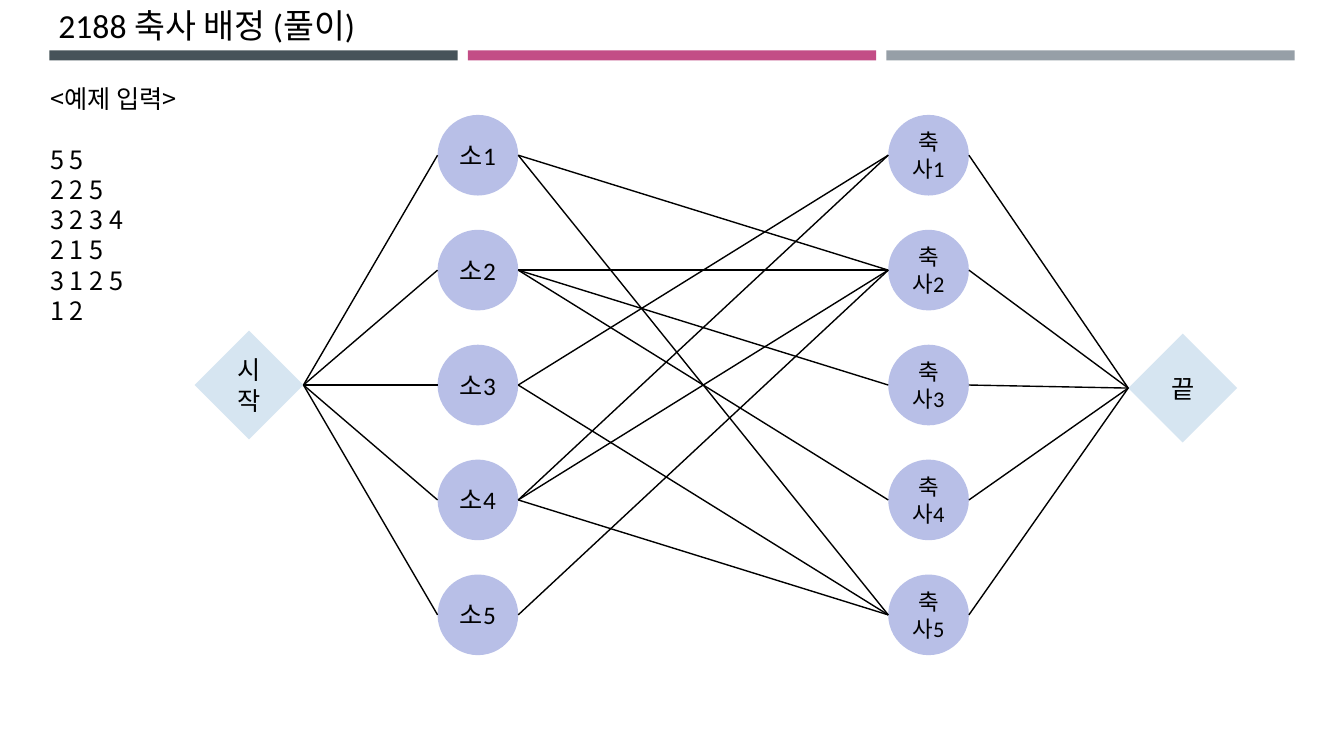
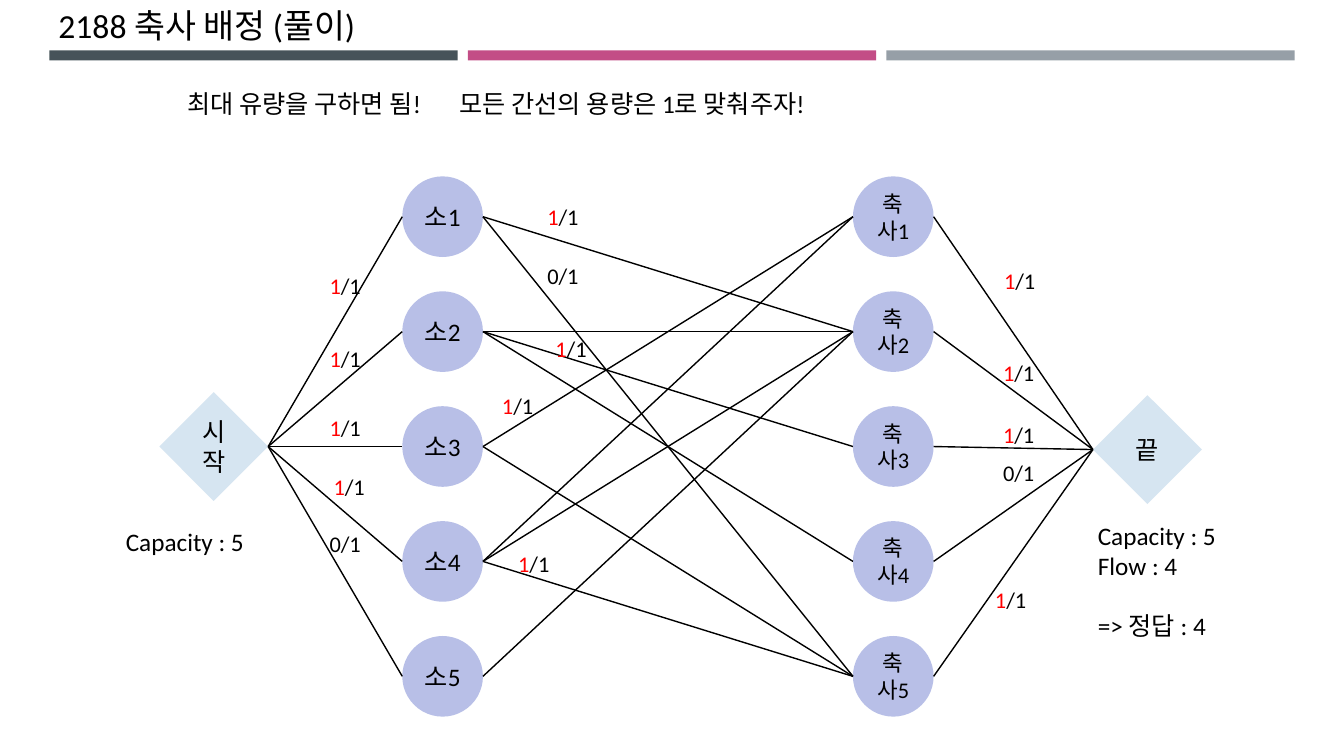
from lxml import etree
from pptx import Presentation
from pptx.dml.color import RGBColor
from pptx.enum import shapes, text
from pptx.oxml import ns
from pptx.util import Inches, Pt

LATIN, KOREAN = "Calibri", "Noto Sans CJK KR"
BLACK, RED, PALE, LILAC = "000000", "FF0000", "D6E5F1", "B8BFE7"
BARS = [(0.49, "465359"), (4.64, "C34D86"), (8.79, "969FA7")]
SIZE, TIP, STEP = 0.8, 1.08, 1.14
LEFT, RIGHT = text.PP_ALIGN.LEFT, text.PP_ALIGN.CENTER
TOP, MIDDLE = text.MSO_ANCHOR.TOP, text.MSO_ANCHOR.MIDDLE
KIND = shapes.MSO_SHAPE

# Barns that each cow accepts
WISHES = {1: [2, 5], 2: [2, 3, 4], 3: [1, 5], 4: [1, 2, 5], 5: [2]}


def write(shape, lines, size=18, align=LEFT, anchor=TOP, font=LATIN, gap=None):
    """Fill a shape with lines of (words, colour) runs; gap is the line after a blank space."""
    frame = shape.text_frame
    look = {"word_wrap": True, "auto_size": text.MSO_AUTO_SIZE.NONE,
            "vertical_anchor": anchor, "margin_left": Inches(0.1),
            "margin_right": Inches(0.1), "margin_top": Inches(0.05),
            "margin_bottom": Inches(0.05)}
    for name, value in look.items():
        setattr(frame, name, value)
    for n, line in enumerate(lines):
        para = frame.paragraphs[0] if n == 0 else frame.add_paragraph()
        para.alignment = align
        para.line_spacing = Pt(size * 1.2)
        para.space_before = Pt(size * 1.2 if n == gap else 0)
        for words, colour in [(line, BLACK)] if isinstance(line, str) else line:
            run = para.add_run()
            run.text = words
            run.font.name, run.font.size = font, Pt(size)
            run.font.color.rgb = RGBColor.from_string(colour)
            east = etree.SubElement(run.font._element, ns.qn("a:ea"))
            east.set("typeface", KOREAN)


def draw(slide, kind, box, fill, label=None, size=18):
    """Add a flat preset shape with an optional centred label."""
    shape = slide.shapes.add_shape(kind, *map(Inches, box))
    shape.shadow.inherit = False
    shape.fill.solid()
    shape.fill.fore_color.rgb = RGBColor.from_string(fill)
    shape.line.fill.background()
    if label:
        write(shape, [label], size, RIGHT, MIDDLE)


deck = Presentation()
deck.slide_width, deck.slide_height = Inches(13.33), Inches(7.5)

# The graph moves as a whole from slide to slide
for dx, dy in [(0, 0), (-0.35, 0.61)]:
    slide = deck.slides.add_slide(deck.slide_layouts[5])
    title = slide.shapes.title
    title.left, title.top = Inches(0.48), Inches(0)
    title.width, title.height = Inches(12.37), Inches(0.5)
    write(title, ["2188 축사 배정 (풀이)"], 24)
    for x, colour in BARS:
        draw(slide, KIND.RECTANGLE, (x, 0.5, 4.05, 0.1), colour)

    start, end = (1.93 + dx, 3.28 + dy), (11.19 + dx, 3.31 + dy)
    cow, barn = 4.34 + dx, 8.81 + dx
    draw(slide, KIND.DIAMOND, (*start, TIP, TIP), PALE, "시작")
    draw(slide, KIND.DIAMOND, (*end, TIP, TIP), PALE, "끝")

    source = (start[0] + TIP, start[1] + TIP / 2)
    sink = (end[0], end[1] + TIP / 2)
    mid = {n: 1.54 + dy + STEP * (n - 1) for n in WISHES}
    edges = []
    for n, y in mid.items():
        draw(slide, KIND.OVAL, (cow, y - SIZE / 2, SIZE, SIZE), LILAC, f"소{n}")
        draw(slide, KIND.OVAL, (barn, y - SIZE / 2, SIZE, SIZE), LILAC, f"축사{n}", 16)
        edges += [(source, (cow, y)), ((barn + SIZE, y), sink)]
        edges += [((cow + SIZE, y), (barn, mid[w])) for w in WISHES[n]]
    for tail, head in edges:
        line = slide.shapes.add_connector(
            shapes.MSO_CONNECTOR.STRAIGHT, *map(Inches, tail + head))
        line.line.width = Pt(1)
        line.line.color.rgb = RGBColor.from_string(BLACK)
        etree.SubElement(line._element.spPr, ns.qn("a:effectLst"))

first, second = deck.slides
sample = first.shapes.add_textbox(*map(Inches, (0.4, 0.78, 1.74, 2.52)))
write(sample, ["<예제 입력>", "5 5", "2 2 5", "3 2 3 4", "2 1 5", "3 1 2 5", "1 2"],
      font=KOREAN, gap=1)

NOTES = [
    ((1.76, 0.83, 2.7, 0.4), ["최대 유량을 구하면 됨!"], None),
    ((4.46, 0.83, 6.98, 0.4), ["모든 간선의 용량은 1로 맞춰주자!"], None),
    ((1.15, 5.17, 1.5, 0.4), ["Capacity : 5"], None),
    ((10.79, 5.11, 1.5, 1.31), ["Capacity : 5", "Flow : 4", "=> 정답 : 4"], 2),
]
for box, lines, gap in NOTES:
    write(second.shapes.add_textbox(*map(Inches, box)), lines, gap=gap)

# Flow on each edge: left, top, used units
FLOWS = [
    (3.17, 2.65, 1), (3.17, 3.38, 1), (3.17, 4.06, 1), (3.21, 4.64, 1), (3.17, 5.21, 0),
    (5.33, 1.97, 1), (5.33, 2.55, 0), (5.41, 3.28, 1), (4.88, 3.84, 1), (5.04, 5.41, 1),
    (9.86, 2.6, 1), (9.85, 3.51, 1), (9.85, 4.13, 1), (9.85, 4.51, 0), (9.77, 5.77, 1),
]
for x, y, flow in FLOWS:
    label = second.shapes.add_textbox(*map(Inches, (x, y, 0.72, 0.37)))
    write(label, [[(str(flow), RED if flow else BLACK), ("/1", BLACK)]], 16)

deck.save("out.pptx")
